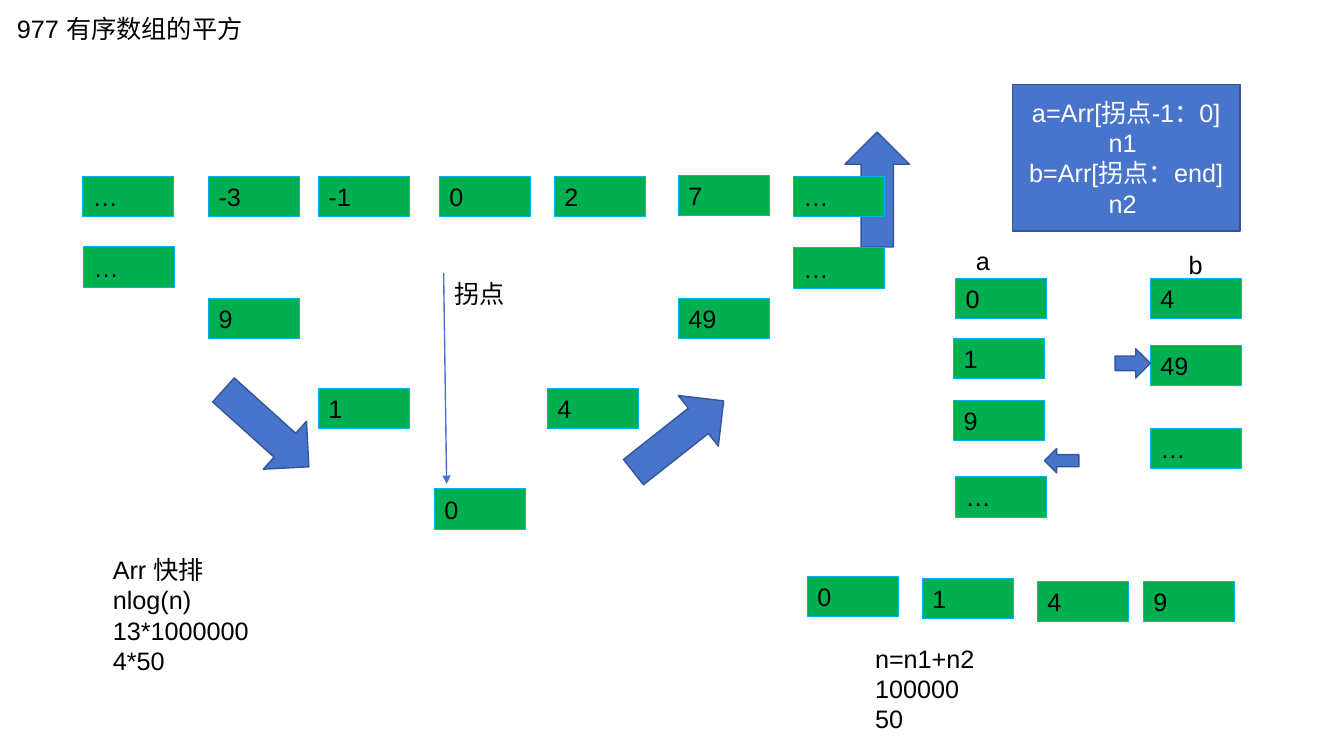
from dataclasses import dataclass

from lxml.etree import SubElement
from pptx import Presentation
from pptx.dml.color import RGBColor
from pptx.enum.shapes import MSO_CONNECTOR, MSO_SHAPE
from pptx.enum.text import MSO_ANCHOR, MSO_AUTO_SIZE, PP_ALIGN
from pptx.oxml.ns import qn
from pptx.util import Inches, Pt


@dataclass(frozen=True)
class Theme:
    font: str = "Arial"
    size: float = 18
    text: str = "000000"
    light: str = "FFFFFF"
    cell: str = "00B050"
    cell_line: str = "00B0F0"
    accent: str = "4874CB"
    accent_line: str = "355696"
    thin: float = 0.75
    line: float = 1


def write(tf, text, theme, color=None, align=PP_ALIGN.LEFT,
          anchor=MSO_ANCHOR.TOP, wrap=True, grow=True):
    """Fill a text frame: one paragraph per \\n, line breaks at \\v."""
    tf.word_wrap = wrap
    tf.vertical_anchor = anchor
    tf.auto_size = MSO_AUTO_SIZE.SHAPE_TO_FIT_TEXT if grow else MSO_AUTO_SIZE.NONE
    tf.text = text
    for p in tf.paragraphs:
        p.alignment = align
        for r in p.runs:
            r.font.name = theme.font
            r.font.size = Pt(theme.size)
            r.font.color.rgb = RGBColor.from_string(color or theme.text)


class Board:
    """Draws array cells, arrows and labels on one slide."""
    CELL_W, CELL_H = 0.9, 0.4

    def __init__(self, slide, theme):
        self.s, self.theme = slide, theme

    def shape(self, kind, x, y, w, h, fill, line, width, rotation=0):
        sp = self.s.shapes.add_shape(kind, Inches(x), Inches(y), Inches(w), Inches(h))
        sp.shadow.inherit = False
        sp.fill.solid()
        sp.fill.fore_color.rgb = RGBColor.from_string(fill)
        sp.line.color.rgb = RGBColor.from_string(line)
        sp.line.width = Pt(width)
        sp.rotation = rotation
        return sp

    def cell(self, value, x, y):
        t = self.theme
        sp = self.shape(MSO_SHAPE.RECTANGLE, x, y, self.CELL_W, self.CELL_H,
                        t.cell, t.cell_line, t.thin)
        write(sp.text_frame, value, t)

    def accent(self, kind, x, y, w, h, rotation=0):
        t = self.theme
        return self.shape(kind, x, y, w, h, t.accent, t.accent_line, t.line, rotation)

    def panel(self, text, x, y, w, h):
        sp = self.accent(MSO_SHAPE.RECTANGLE, x, y, w, h)
        write(sp.text_frame, text, self.theme, color=self.theme.light,
              align=PP_ALIGN.CENTER, anchor=MSO_ANCHOR.MIDDLE, grow=False)

    def label(self, text, x, y, w, h=0.4, wrap=False):
        sp = self.s.shapes.add_textbox(Inches(x), Inches(y), Inches(w), Inches(h))
        write(sp.text_frame, text, self.theme, wrap=wrap)

    def pointer(self, x1, y1, x2, y2):
        c = self.s.shapes.add_connector(MSO_CONNECTOR.STRAIGHT, Inches(x1),
                                        Inches(y1), Inches(x2), Inches(y2))
        c.line.color.rgb = RGBColor.from_string(self.theme.accent)
        c.line.width = Pt(self.theme.line)
        SubElement(c.line._get_or_add_ln(), qn("a:tailEnd"), type="triangle")
        SubElement(c._element.spPr, qn("a:effectLst"))


def main():
    prs = Presentation()
    prs.slide_width, prs.slide_height = Inches(13.33), Inches(7.5)
    board = Board(prs.slides.add_slide(prs.slide_layouts[6]), Theme())

    # Title
    board.label("977 有序数组的平方", 0.07, 0.08, 4.44, wrap=True)

    # Direction arrows, behind the cells
    for x, y, rotation in [(8.38, 1.31, 180), (2.32, 3.68, 312), (6.41, 3.76, 231.7)]:
        board.accent(MSO_SHAPE.DOWN_ARROW, x, y, 0.64, 1.14, rotation)

    # Sorted input array
    for value, x in [("…", 0.82), ("-3", 2.07), ("-1", 3.16), ("0", 4.36),
                     ("2", 5.5), ("7", 6.73), ("…", 7.87)]:
        board.cell(value, x, 1.74 if value == "7" else 1.75)

    # Squares, falling to the turning point and rising again
    for value, x, y in [("…", 0.83, 2.45), ("9", 2.07, 2.96), ("1", 3.16, 3.85),
                        ("0", 4.31, 4.85), ("4", 5.43, 3.85), ("49", 6.73, 2.96),
                        ("…", 7.87, 2.46)]:
        board.cell(value, x, y)
    board.pointer(4.4, 2.71, 4.43, 4.8)
    board.label("拐点", 4.41, 2.71, 0.71)

    # Split into a and b, with their read positions
    board.panel("a=Arr[拐点-1：0] n1 \nb=Arr[拐点：end]\nn2 ", 10.04, 0.84, 2.26, 1.45)
    board.label("a", 9.58, 2.38, 0.33)
    board.label("b", 11.69, 2.42, 0.35)
    for value, x, y in [("0", 9.48, 2.76), ("1", 9.46, 3.36),
                        ("9", 9.46, 3.97), ("…", 9.48, 4.73)]:
        board.cell(value, x, y)
    for value, y in [("4", 2.76), ("49", 3.43), ("…", 4.25)]:
        board.cell(value, 11.41, y)
    board.accent(MSO_SHAPE.RIGHT_ARROW, 10.36, 4.45, 0.34, 0.24, 180)
    board.accent(MSO_SHAPE.RIGHT_ARROW, 11.06, 3.46, 0.35, 0.29)

    # Merged result
    for value, x, y in [("0", 8.01, 5.72), ("1", 9.15, 5.74),
                        ("4", 10.29, 5.77), ("9", 11.34, 5.77)]:
        board.cell(value, x, y)

    # Cost of each approach
    board.label("Arr 快排\vnlog(n)\n13*1000000\v4*50", 1.02, 5.45, 1.95, 1.01, wrap=True)
    board.label("n=n1+n2\n100000\n50", 8.58, 6.33, 1.22, 1.01)

    prs.save("out.pptx")


if __name__ == "__main__":
    main()
